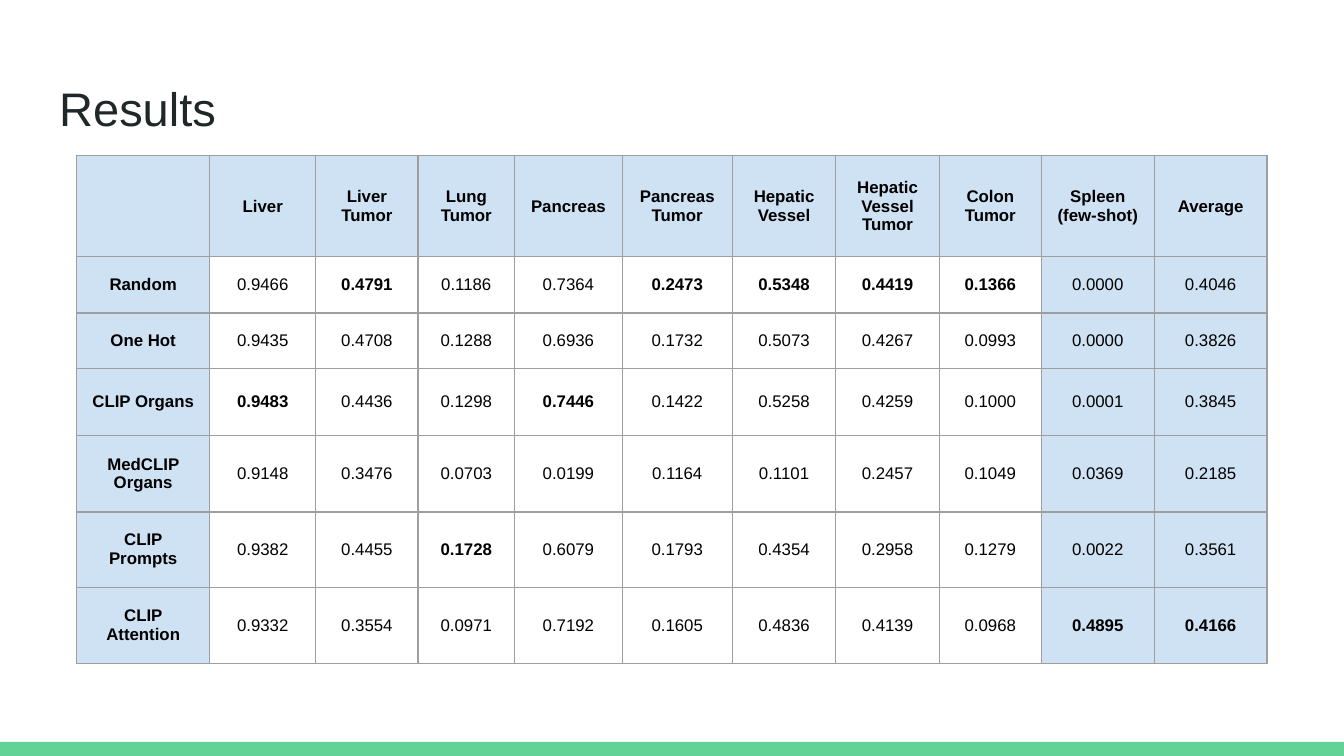
"""Build a results slide comparing segmentation scores by organ and prompt embedding."""
from dataclasses import dataclass

from lxml.etree import SubElement
from pptx import Presentation
from pptx.dml.color import RGBColor
from pptx.enum.shapes import MSO_SHAPE as Shape
from pptx.enum.text import MSO_ANCHOR as Anchor, MSO_AUTO_SIZE as AutoSize, PP_ALIGN as Align
from pptx.oxml.ns import qn
from pptx.util import Inches, Pt

FONT = "Arial"
TINT, WHITE, BLACK = "CFE2F3", "FFFFFF", "000000"
INK, GREEN, GRID = "202729", "63D297", "9E9E9E"
PADDING = Inches(0.1)
BORDER = Pt(0.75)


@dataclass(frozen=True)
class Method:
    name: str
    scores: tuple[float, ...]


HEADERS = (
    "", "Liver", "Liver Tumor", "Lung Tumor", "Pancreas", "Pancreas Tumor", "Hepatic Vessel",
    "Hepatic Vessel Tumor", "Colon Tumor", "Spleen (few-shot)", "Average",
)
METHODS = (
    Method("Random", (0.9466, 0.4791, 0.1186, 0.7364, 0.2473, 0.5348, 0.4419, 0.1366, 0.0, 0.4046)),
    Method("One Hot", (0.9435, 0.4708, 0.1288, 0.6936, 0.1732, 0.5073, 0.4267, 0.0993, 0.0, 0.3826)),
    Method("CLIP Organs", (0.9483, 0.4436, 0.1298, 0.7446, 0.1422, 0.5258, 0.4259, 0.1, 0.0001, 0.3845)),
    Method("MedCLIP Organs", (0.9148, 0.3476, 0.0703, 0.0199, 0.1164, 0.1101, 0.2457, 0.1049, 0.0369, 0.2185)),
    Method("CLIP Prompts", (0.9382, 0.4455, 0.1728, 0.6079, 0.1793, 0.4354, 0.2958, 0.1279, 0.0022, 0.3561)),
    Method("CLIP Attention", (0.9332, 0.3554, 0.0971, 0.7192, 0.1605, 0.4836, 0.4139, 0.0968, 0.4895, 0.4166)),
)
COLUMN_WIDTHS = (0.99, 0.79, 0.76, 0.72, 0.8, 0.82, 0.77, 0.77, 0.76, 0.84, 0.84)
ROW_HEIGHTS = (0.75, 0.42, 0.41, 0.5, 0.57, 0.56, 0.57)
SUMMARY_COLUMNS = 2


def paint(fill, color: str) -> None:
    """Make a fill solid in the given hex colour."""
    fill.solid()
    fill.fore_color.rgb = RGBColor.from_string(color)


def style_paragraph(para, size: float, color: str, align: Align, bold: bool = False) -> None:
    """Set the alignment and font of a paragraph."""
    para.alignment = align
    para.font.name = FONT
    para.font.size = Pt(size)
    para.font.bold = bold
    para.font.color.rgb = RGBColor.from_string(color)


def set_padding(box) -> None:
    """Give a text frame or cell the same inset on all sides."""
    box.margin_left = box.margin_right = box.margin_top = box.margin_bottom = PADDING


def add_borders(cell) -> None:
    """Draw a thin grid line on each side of a cell."""
    properties = cell._tc.get_or_add_tcPr()
    for side in ("a:lnL", "a:lnR", "a:lnT", "a:lnB"):
        line = SubElement(properties, qn(side), w=str(BORDER))
        SubElement(SubElement(line, qn("a:solidFill")), qn("a:srgbClr"), val=GRID)


def write_cell(cell, text: str, bold: bool, tinted: bool) -> None:
    """Fill one table cell with centred text."""
    add_borders(cell)
    if tinted:
        paint(cell.fill, TINT)
    else:
        cell.fill.background()
    set_padding(cell)
    cell.vertical_anchor = Anchor.MIDDLE
    cell.text = text
    style_paragraph(cell.text_frame.paragraphs[0], 9, BLACK, Align.CENTER, bold)


def add_title(page, text: str) -> None:
    """Place and format the slide title."""
    title = page.shapes.title
    title.left, title.top = Inches(0.34), Inches(0.49)
    title.width, title.height = Inches(9.32), Inches(0.63)
    frame = title.text_frame
    frame.text = text
    frame.auto_size = AutoSize.NONE
    frame.vertical_anchor = Anchor.MIDDLE
    set_padding(frame)
    style_paragraph(frame.paragraphs[0], 25.2, INK, Align.LEFT)


def add_footer_bar(page) -> None:
    """Draw the green band along the bottom edge."""
    bar = page.shapes.add_shape(Shape.RECTANGLE, 0, Inches(5.52), Inches(10), Inches(0.11))
    bar.shadow.inherit = False
    paint(bar.fill, GREEN)
    bar.line.fill.background()


def add_results_table(page) -> None:
    """Add the score table with the best score of each column in bold."""
    table = page.shapes.add_table(
        len(ROW_HEIGHTS), len(COLUMN_WIDTHS), Inches(0.57), Inches(1.16),
        Inches(sum(COLUMN_WIDTHS)), Inches(sum(ROW_HEIGHTS)),
    ).table
    table.first_row = table.horz_banding = False
    for column, width in zip(table.columns, COLUMN_WIDTHS):
        column.width = Inches(width)
    for row, height in zip(table.rows, ROW_HEIGHTS):
        row.height = Inches(height)

    for index, header in enumerate(HEADERS):
        write_cell(table.cell(0, index), header, bold=True, tinted=True)
    best = [max(scores) for scores in zip(*(method.scores for method in METHODS))]
    first_summary = len(HEADERS) - SUMMARY_COLUMNS
    for row, method in enumerate(METHODS, 1):
        write_cell(table.cell(row, 0), method.name, bold=True, tinted=True)
        for index, (score, top_score) in enumerate(zip(method.scores, best), 1):
            write_cell(table.cell(row, index), f"{score:.4f}", score == top_score, index >= first_summary)


def main() -> None:
    """Create and save the deck."""
    deck = Presentation()
    deck.slide_width = Inches(10)
    deck.slide_height = deck.slide_width * 9 // 16
    page = deck.slides.add_slide(deck.slide_layouts[5])
    paint(page.background.fill, WHITE)
    add_footer_bar(page)
    add_title(page, "Results")
    add_results_table(page)
    deck.save("out.pptx")


if __name__ == "__main__":
    main()
